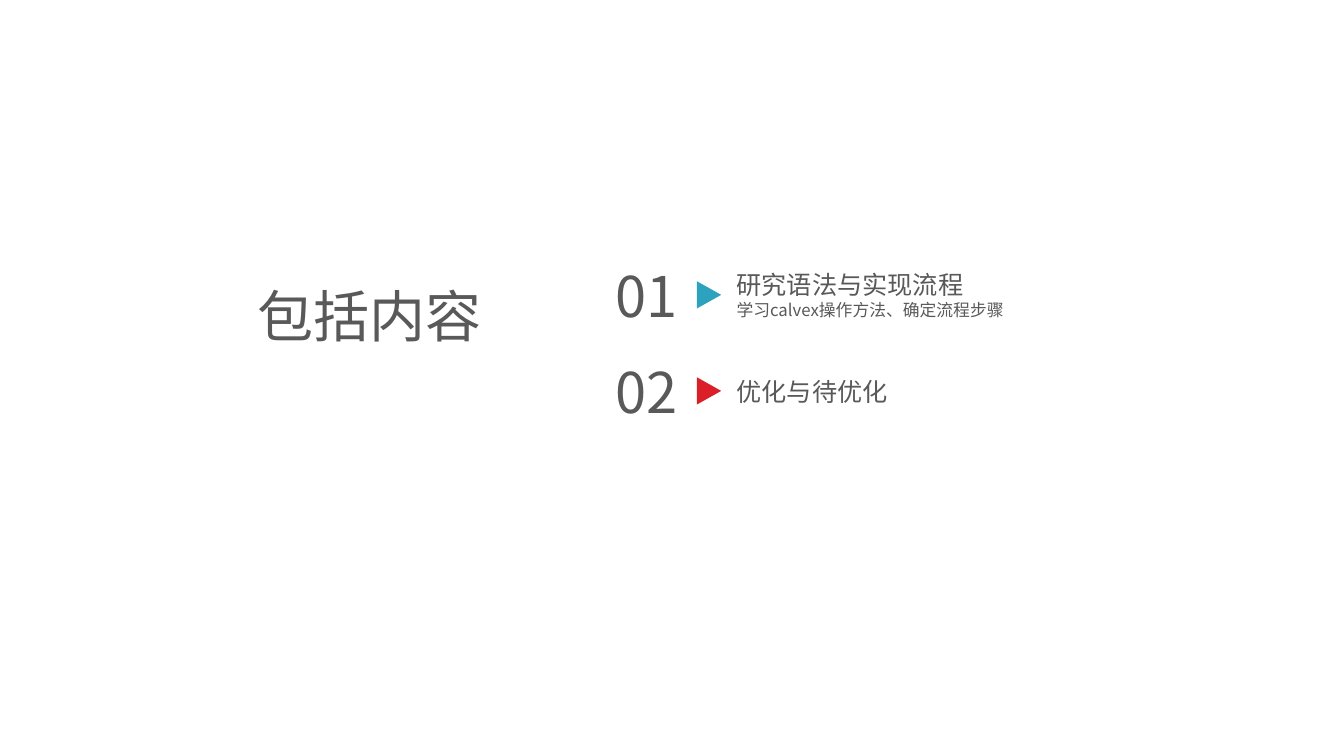
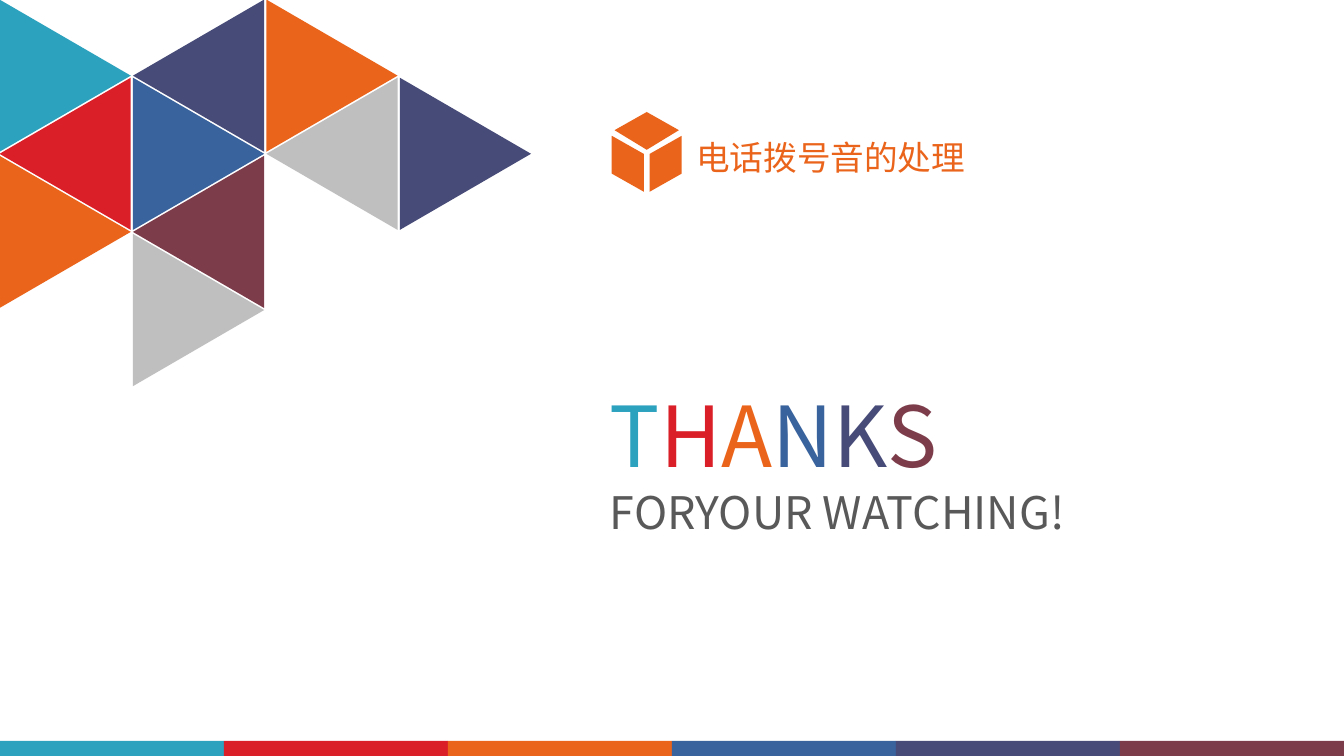
"""Build the contents slide and the closing slide of a talk on dial-tone processing."""
from lxml import etree
from pptx import Presentation
from pptx.dml.color import RGBColor
from pptx.enum import shapes, text
from pptx.oxml.ns import qn
from pptx.util import Pt

FONT = "Noto Sans CJK SC"
GREY, SILVER = "595959", "BFBFBF"
TEAL, RED, ORANGE = "2DA2BF", "DA1F28", "EB641B"
BLUE, INDIGO, WINE = "39639D", "474B78", "7D3C4A"
PALETTE = [TEAL, RED, ORANGE, BLUE, INDIGO, WINE]


def paint(shape, color):
    shape.fill.solid()
    shape.fill.fore_color.rgb = RGBColor.from_string(color)
    shape.line.fill.background()
    shape.shadow.inherit = False


def write(page, left, top, width, height, lines, align=text.PP_ALIGN.LEFT,
          anchor=text.MSO_ANCHOR.TOP):
    box = page.shapes.add_textbox(Pt(left), Pt(top), Pt(width), Pt(height))
    frame = box.text_frame
    frame.word_wrap = True
    frame.vertical_anchor = anchor
    for index, (spans, size) in enumerate(lines):
        para = frame.paragraphs[0] if index == 0 else frame.add_paragraph()
        para.alignment = align
        para.font.size = Pt(size)
        para.font.name = FONT
        etree.SubElement(para.font._element, qn("a:ea"), typeface=FONT)
        for words, color in spans:
            span = para.add_run()
            span.text = words
            span.font.color.rgb = RGBColor.from_string(color)


deck = Presentation()
deck.slide_width, deck.slide_height = Pt(960), Pt(540)
blank = deck.slide_layouts[6]

contents = deck.slides.add_slide(blank)
write(contents, 101.8, 197.3, 249, 55.4, [([("包括内容", GREY)], 40)], text.PP_ALIGN.RIGHT)

topics = [
    (TEAL, [("研究语法与实现流程", 18), ("学习calvex操作方法、确定流程步骤", 12)]),
    (RED, [("优化与待优化", 18)]),
]
for index, (color, lines) in enumerate(topics):
    top = 183 + 68.6 * index
    marker = contents.shapes.add_shape(
        shapes.MSO_SHAPE.ISOSCELES_TRIANGLE, Pt(496.8), Pt(top + 19), Pt(19.4), Pt(17.3))
    marker.rotation = 90
    paint(marker, color)
    write(contents, 432.3, top, 64.8, 55.4, [([(f"{index + 1:02}", GREY)], 40)])
    write(contents, 519, top + 5.7, 325, 44,
          [([(words, GREY)], size) for words, size in lines],
          anchor=text.MSO_ANCHOR.MIDDLE)

closing = deck.slides.add_slide(blank)
mosaic = [
    (0, 0, 90, TEAL), (0, 1, 270, RED), (0, 2, 90, ORANGE),
    (1, 0, 270, INDIGO), (1, 1, 90, BLUE), (1, 2, 270, WINE), (1, 3, 90, SILVER),
    (2, 0, 90, ORANGE), (2, 1, 270, SILVER), (3, 1, 90, INDIGO),
]
for column, row, angle, color in mosaic:
    tile = closing.shapes.add_shape(
        shapes.MSO_SHAPE.ISOSCELES_TRIANGLE,
        Pt(-7.8 + 95.3 * column), Pt(7.2 + 55.8 * row), Pt(108.7), Pt(93.7))
    tile.rotation = angle
    paint(tile, color)

for index, color in enumerate(PALETTE):
    band = closing.shapes.add_shape(
        shapes.MSO_SHAPE.RECTANGLE, Pt(160 * index), Pt(529.2), Pt(160), Pt(10.8))
    paint(band, color)

write(closing, 428.5, 270.7, 412.5, 118.8,
      [(list(zip("THANKS", PALETTE)), 60), ([("FORYOUR WATCHING!", GREY)], 32)])
write(closing, 490.3, 94.3, 317, 36, [([("电话拨号音的处理", ORANGE)], 24)])

cube_faces = [
    [(461.8, 80), (439, 93.3), (461.8, 106.6), (484.8, 93.3)],
    [(436.8, 123.8), (459.8, 137), (459.8, 110.4), (436.8, 97.2)],
    [(463.8, 110.4), (463.8, 137), (486.8, 123.8), (486.8, 97.2)],
]
cube = closing.shapes.build_freeform(*cube_faces[0][0], scale=Pt(1))
for start, *corners in cube_faces:
    if start != cube_faces[0][0]:
        cube.move_to(*start)
    cube.add_line_segments(corners, close=True)
paint(cube.convert_to_shape(), ORANGE)

deck.save("out.pptx")
